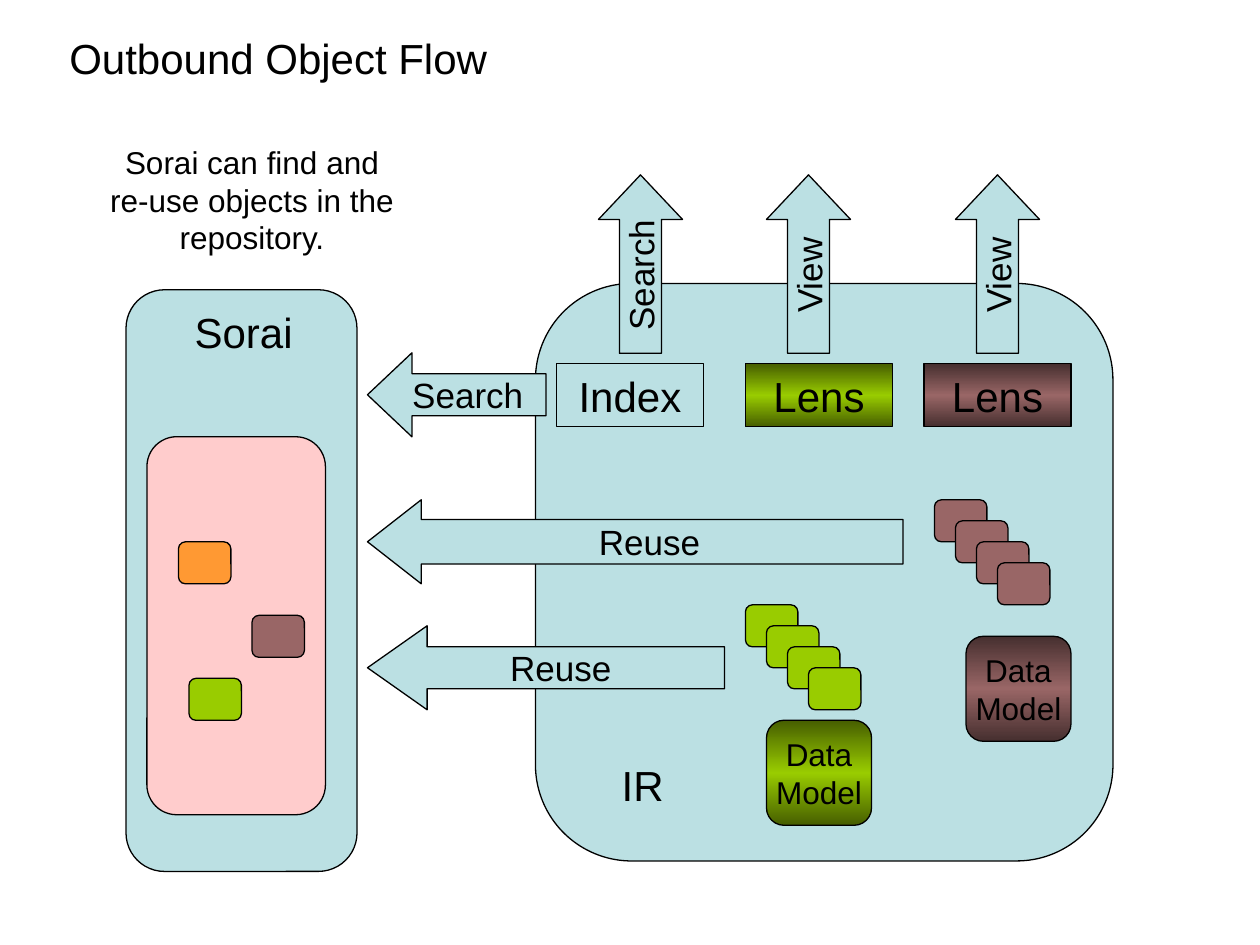
"""Builds the slide on outbound object flow between a portal and a repository."""
import copy
import dataclasses

import pptx
import pptx.dml.color
import pptx.enum.shapes
import pptx.enum.text
import pptx.util

SHAPE = pptx.enum.shapes.MSO_SHAPE
COLS, ROWS = 120, 90


@dataclasses.dataclass(frozen=True)
class Theme:
    font: str = "Arial"
    ink: str = "000000"
    pale: str = "BBE0E3"
    pink: str = "FFCCCC"
    orange: str = "FF9933"
    brown: tuple = ("462F2F", "996666")
    green: tuple = ("465E00", "99CC00")
    head: int = 24
    label: int = 20
    body: int = 18
    line: float = 0.75


THEME = Theme()


def grid(col, row, wide, high):
    unit = pptx.util.Inches(10) / COLS
    return [round(part * unit) for part in (col, row, wide, high)]


def rgb(code):
    return pptx.dml.color.RGBColor.from_string(code)


def write(frame, text, size, wrap=False):
    frame.text = text
    frame.word_wrap = wrap
    frame.auto_size = pptx.enum.text.MSO_AUTO_SIZE.NONE
    frame.vertical_anchor = pptx.enum.text.MSO_ANCHOR.MIDDLE
    for para in frame.paragraphs:
        para.alignment = pptx.enum.text.PP_ALIGN.CENTER
        para.font.name = THEME.font
        para.font.size = pptx.util.Pt(size)
        para.font.color.rgb = rgb(THEME.ink)


def shade(fill, tones):
    dark, light = tones
    fill.gradient()
    fill.gradient_angle = 90
    first = fill.gradient_stops[0]._gs
    first.addnext(copy.deepcopy(first))
    for stop, tone, place in zip(fill.gradient_stops, (dark, light, dark), (0, 0.5, 1)):
        stop.color.rgb = rgb(tone)
        stop.position = place


def block(slide, kind, area, paint, text="", size=THEME.head):
    shape = slide.shapes.add_shape(kind, *grid(*area))
    shape.shadow.inherit = False
    shape.line.color.rgb = rgb(THEME.ink)
    shape.line.width = pptx.util.Pt(THEME.line)
    if isinstance(paint, tuple):
        shade(shape.fill, paint)
    else:
        shape.fill.solid()
        shape.fill.fore_color.rgb = rgb(paint)
    if text:
        write(shape.text_frame, text, size)
    return shape


def card(slide, col, row, paint):
    block(slide, SHAPE.ROUNDED_RECTANGLE, (col, row, 5, 4), paint)


def stack(slide, col, row, paint):
    for step in range(4):
        card(slide, col + 2 * step, row + 2 * step, paint)


def model(slide, col, row, tones):
    block(slide, SHAPE.ROUNDED_RECTANGLE, (col, row, 10, 10), tones, "Data\nModel", THEME.body)


def left(slide, row, wide, text, shaft, tip):
    arrow = block(slide, SHAPE.LEFT_ARROW, (35, row, wide, 8), THEME.pale, text, THEME.label)
    arrow.adjustments[0], arrow.adjustments[1] = shaft, tip


def rise(slide, mid, text):
    arrow = block(slide, SHAPE.RIGHT_ARROW, (mid - 8.5, 21.15, 17, 8), THEME.pale, text, THEME.label)
    arrow.adjustments[1] = 0.53
    arrow.rotation = 270


def note(slide, area, text, size, wrap=False):
    write(slide.shapes.add_textbox(*grid(*area)).text_frame, text, size, wrap)


def title(slide, area, text):
    shape = slide.shapes.title
    shape.left, shape.top, shape.width, shape.height = grid(*area)
    write(shape.text_frame, text, THEME.head, True)


def main():
    deck = pptx.Presentation()
    deck.slide_width, deck.slide_height = grid(0, 0, COLS, ROWS)[2:]
    slide = deck.slides.add_slide(deck.slide_layouts[5])
    title(slide, (3.5, 2, 46, 7), "Outbound Object Flow")
    note(slide, (9, 13, 30, 12), "Sorai can find and re-use objects in the repository.", THEME.body, True)

    for area, paint in (
        ((12, 27.6, 22, 55.4), THEME.pale),
        ((51, 27, 55, 55), THEME.pale),
        ((14, 41.6, 17, 36), THEME.pink),
    ):
        block(slide, SHAPE.ROUNDED_RECTANGLE, area, paint)
    note(slide, (17, 28.6, 12.4, 6), "Sorai", THEME.head)
    note(slide, (58, 71.7, 6.4, 6), "IR", THEME.head)

    for col, paint, text in (
        (53, THEME.pale, "Index"),
        (71, THEME.green, "Lens"),
        (88, THEME.brown, "Lens"),
    ):
        block(slide, SHAPE.RECTANGLE, (col, 34.65, 14, 6), paint, text)
    for mid, text in ((61, "Search"), (77, "View"), (95, "View")):
        rise(slide, mid, text)
    for row, wide, text, shaft, tip in (
        (33.6, 17, "Search", 0.5, 0.53),
        (47.6, 51, "Reuse", 0.53, 0.64),
        (59.6, 34, "Reuse", 0.5, 0.71),
    ):
        left(slide, row, wide, text, shaft, tip)

    stack(slide, 89, 47.6, THEME.brown[1])
    model(slide, 92, 60.6, THEME.brown)
    stack(slide, 71, 57.6, THEME.green[1])
    model(slide, 73, 68.6, THEME.green)
    for col, row, paint in (
        (17, 51.6, THEME.orange),
        (24, 58.6, THEME.brown[1]),
        (18, 64.6, THEME.green[1]),
    ):
        card(slide, col, row, paint)
    deck.save("out.pptx")


main()
